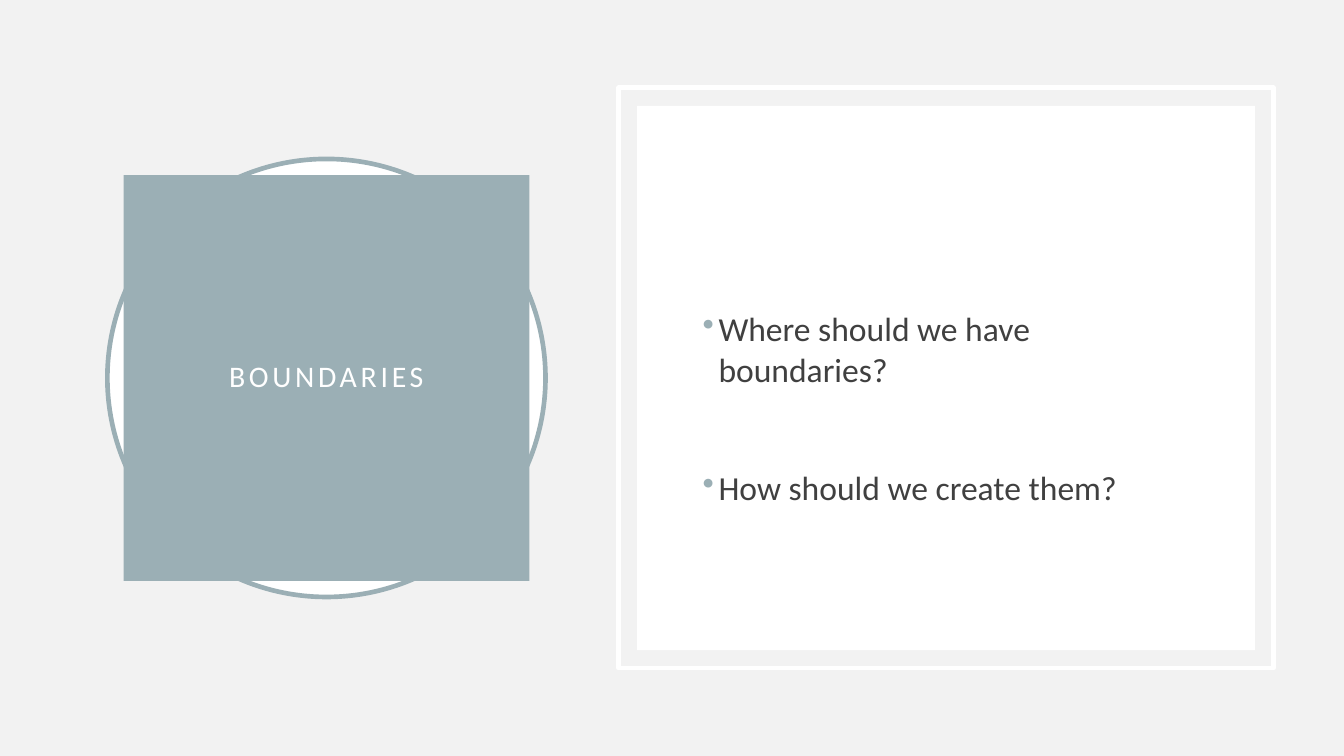
from lxml import etree
from pptx import Presentation
from pptx.dml.color import RGBColor
from pptx.enum.shapes import MSO_SHAPE as Preset
from pptx.enum.text import MSO_ANCHOR as Anchor, PP_ALIGN as Align
from pptx.oxml.ns import qn
from pptx.util import Cm, Pt

PALE_GREY = RGBColor(0xF2, 0xF2, 0xF2)
WHITE = RGBColor(0xFF, 0xFF, 0xFF)
SAGE = RGBColor(0x9B, 0xAF, 0xB5)
CHARCOAL = RGBColor(0x40, 0x40, 0x40)

SLIDE_WIDTH, SLIDE_HEIGHT = 25.4, 14.29
TITLE_CENTRE, PANEL_CENTRE = 6.17, 17.88
QUESTIONS = ["Where should we have boundaries?", "How should we create them?"]


def centred_box(centre, width, height):
    """Left, top, width and height of a box in the vertical middle of the slide."""
    return (Cm(centre - width / 2), Cm((SLIDE_HEIGHT - height) / 2),
            Cm(width), Cm(height))


def set_format(target, **values):
    for name, value in values.items():
        setattr(target, name, value)


def set_font(font, size, color):
    set_format(font, name="Calibri", size=Pt(size))
    font.color.rgb = color


def add_block(slide, preset, box, fill=None, line=None):
    block = slide.shapes.add_shape(preset, *box)
    block.shadow.inherit = False
    if fill is None:
        block.fill.background()
    else:
        block.fill.solid()
        block.fill.fore_color.rgb = fill
    if line is None:
        block.line.fill.background()
    else:
        block.line.color.rgb = line
        block.line.width = Pt(2.5)
    return block


def add_title(slide, text):
    add_block(slide, Preset.OVAL, centred_box(TITLE_CENTRE, 8.28, 8.28), WHITE, SAGE)
    square = add_block(slide, Preset.RECTANGLE,
                       centred_box(TITLE_CENTRE, 7.67, 7.67), SAGE)
    frame = square.text_frame
    set_format(frame, word_wrap=True, vertical_anchor=Anchor.MIDDLE)
    paragraph = frame.paragraphs[0]
    set_format(paragraph, alignment=Align.CENTER, line_spacing=0.9)
    run = paragraph.add_run()
    run.text = text
    set_font(run.font, 16, WHITE)
    run.font._element.set("spc", "200")


def add_bullet(paragraph):
    properties = paragraph._p.get_or_add_pPr()
    properties.set("marL", str(Cm(0.3)))
    properties.set("indent", str(Cm(-0.3)))
    color = etree.SubElement(properties, qn("a:buClr"))
    etree.SubElement(color, qn("a:srgbClr"), val=str(SAGE))
    etree.SubElement(properties, qn("a:buChar"), char="•")


def add_questions(slide, questions):
    add_block(slide, Preset.RECTANGLE,
              centred_box(PANEL_CENTRE, 12.37, 10.97), line=WHITE)
    add_block(slide, Preset.RECTANGLE,
              centred_box(PANEL_CENTRE, 11.68, 10.29), WHITE)
    body = slide.shapes.add_textbox(*centred_box(PANEL_CENTRE, 9.7, 8.26))
    frame = body.text_frame
    set_format(frame, word_wrap=True, vertical_anchor=Anchor.MIDDLE,
               margin_top=Cm(1.26))
    for index, question in enumerate(questions):
        paragraph = frame.add_paragraph() if index else frame.paragraphs[0]
        add_bullet(paragraph)
        if index:
            paragraph.space_before = Pt(42)
        run = paragraph.add_run()
        run.text = question
        set_font(run.font, 18, CHARCOAL)


def main():
    deck = Presentation()
    set_format(deck, slide_width=Cm(SLIDE_WIDTH), slide_height=Cm(SLIDE_HEIGHT))
    slide = deck.slides.add_slide(deck.slide_layouts[6])
    slide.background.fill.solid()
    slide.background.fill.fore_color.rgb = PALE_GREY
    add_title(slide, "BOUNDARIES")
    add_questions(slide, QUESTIONS)
    deck.save("out.pptx")


if __name__ == "__main__":
    main()
